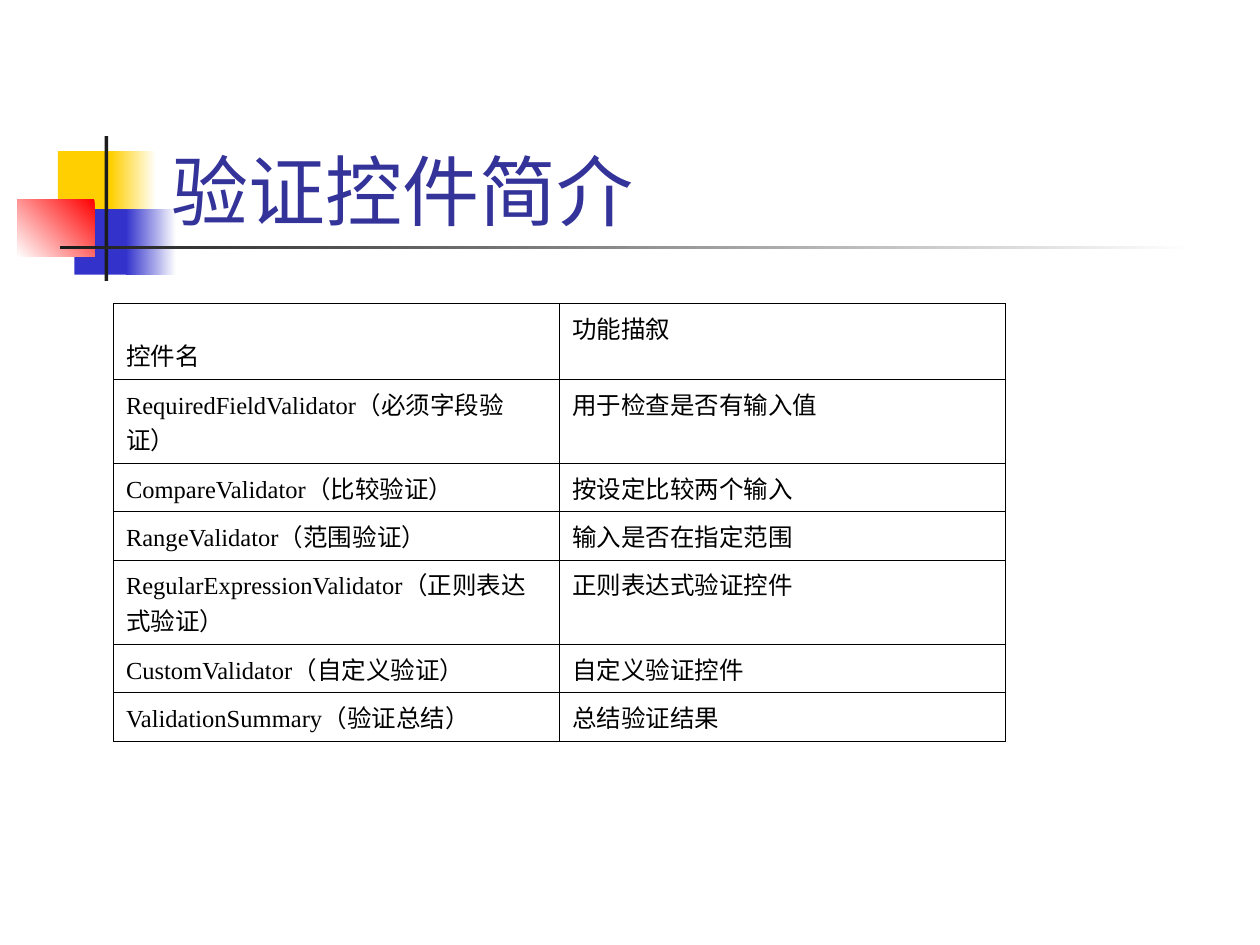
from lxml import etree
from pptx import Presentation
from pptx.dml.color import RGBColor
from pptx.enum.shapes import MSO_SHAPE
from pptx.enum.text import MSO_ANCHOR, MSO_AUTO_SIZE, PP_ALIGN
from pptx.oxml.ns import qn
from pptx.util import Inches, Pt

RECT = MSO_SHAPE.RECTANGLE
TOP, BOTTOM = MSO_ANCHOR.TOP, MSO_ANCHOR.BOTTOM
LEFT = PP_ALIGN.LEFT
NO_FIT = MSO_AUTO_SIZE.NONE

WHITE = RGBColor(0xFF, 0xFF, 0xFF)
BLACK = RGBColor(0, 0, 0)
YELLOW = RGBColor(0xFF, 0xCF, 0x01)
BLUE = RGBColor(0x33, 0x33, 0xCC)
RED = RGBColor(0xFF, 0, 0)
DARK = RGBColor(0x1C, 0x1C, 0x1C)
TITLE_BLUE = RGBColor(0x33, 0x33, 0x99)

TITLE = "验证控件简介"
TITLE_BOX = (1.26, 0.67, 8.52, 1.25)
TITLE_FONT = {"name": "Lato", "size": Pt(44)}
CELL_FONT = {"name": "Times New Roman", "size": Pt(14)}

# box, colours (one is solid, two are a gradient), gradient angle
DECORATIONS = [
    ((0.46, 1.2, 0.48, 0.52), [YELLOW], None),
    ((0.88, 1.2, 0.36, 0.52), [WHITE, YELLOW], 180),
    ((0.59, 1.66, 0.46, 0.52), [BLUE], None),
    ((1, 1.66, 0.4, 0.52), [WHITE, BLUE], 180),
    ((0.14, 1.58, 0.61, 0.46), [RED, WHITE], 225),
    ((0.83, 1.08, 0.03, 1.15), [DARK], None),
    ((0.48, 1.95, 9, 0.03), [WHITE, DARK], 180),
]

ROWS = [
    ("控件名", "功能描叙"),
    ("RequiredFieldValidator（必须字段验证）", "用于检查是否有输入值"),
    ("CompareValidator（比较验证）", "按设定比较两个输入"),
    ("RangeValidator（范围验证）", "输入是否在指定范围"),
    ("RegularExpressionValidator（正则表达式验证）", "正则表达式验证控件"),
    ("CustomValidator（自定义验证）", "自定义验证控件"),
    ("ValidationSummary（验证总结）", "总结验证结果"),
]
ROW_HEIGHTS = [0.6, 0.57, 0.34, 0.34, 0.57, 0.34, 0.34]
TABLE_LEFT, TABLE_TOP, COL_WIDTH = 0.9, 2.41, 3.54


def set_font(font, values, color):
    for name, value in values.items():
        setattr(font, name, value)
    font.color.rgb = color


def add_decoration(slide, box, colors, angle):
    sp = slide.shapes.add_shape(RECT, *map(Inches, box))
    sp.shadow.inherit = False
    sp.line.fill.background()
    if angle is None:
        sp.fill.solid()
        sp.fill.fore_color.rgb = colors[0]
        return
    sp.fill.gradient()
    sp.fill.gradient_angle = angle
    for stop, color in zip(sp.fill.gradient_stops, colors):
        stop.color.rgb = color


def add_borders(cell):
    tc_pr = cell._tc.get_or_add_tcPr()
    for i, side in enumerate(("lnL", "lnR", "lnT", "lnB")):
        ln = etree.Element(qn(f"a:{side}"), w=str(Pt(0.45)))
        fill = etree.SubElement(ln, qn("a:solidFill"))
        etree.SubElement(fill, qn("a:srgbClr"), val=str(BLACK))
        tc_pr.insert(i, ln)


def add_title(slide):
    title = slide.shapes.title
    title.left, title.top, title.width, title.height = map(Inches, TITLE_BOX)
    tf = title.text_frame
    tf.text = TITLE
    tf.auto_size = NO_FIT
    tf.vertical_anchor = BOTTOM
    p = tf.paragraphs[0]
    p.alignment = LEFT
    set_font(p.runs[0].font, TITLE_FONT, TITLE_BLUE)
    slide.shapes._spTree.append(title._element)  # in front of the decorations


def add_validator_table(slide):
    n_cols = len(ROWS[0])
    frame = slide.shapes.add_table(
        len(ROWS), n_cols, Inches(TABLE_LEFT), Inches(TABLE_TOP),
        Inches(COL_WIDTH * n_cols), Inches(sum(ROW_HEIGHTS)))
    table = frame.table
    table.first_row = table.horz_banding = False
    for col in table.columns:
        col.width = Inches(COL_WIDTH)
    for row, height, texts in zip(table.rows, ROW_HEIGHTS, ROWS):
        row.height = Inches(height)
        for cell, text in zip(row.cells, texts):
            cell.text = text
            cell.vertical_anchor = TOP
            cell.fill.background()
            add_borders(cell)
            set_font(cell.text_frame.paragraphs[0].runs[0].font, CELL_FONT, BLACK)
    table.cell(0, 0).vertical_anchor = BOTTOM


def main():
    prs = Presentation()
    prs.slide_width, prs.slide_height = Inches(10), Inches(7.5)
    slide = prs.slides.add_slide(prs.slide_layouts[5])
    for decoration in DECORATIONS:
        add_decoration(slide, *decoration)
    add_title(slide)
    add_validator_table(slide)
    prs.save("out.pptx")


if __name__ == "__main__":
    main()
